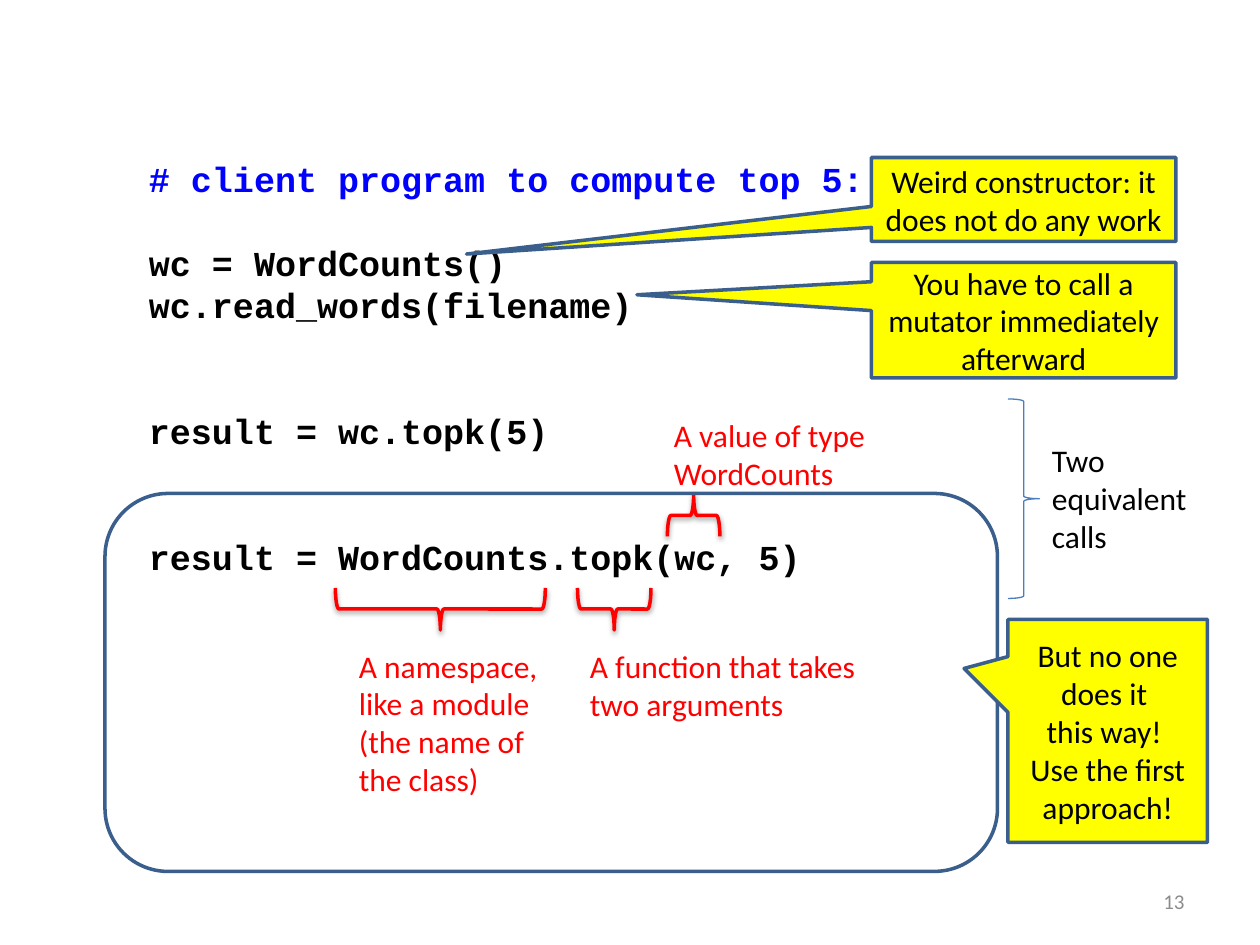
from lxml import etree
from pptx import Presentation
from pptx.dml.color import RGBColor
from pptx.enum.shapes import MSO_SHAPE as SHAPE
from pptx.enum.text import MSO_ANCHOR as ANCHOR, MSO_AUTO_SIZE as AUTO, PP_ALIGN as ALIGN
from pptx.oxml.ns import qn
from pptx.util import Pt

RED, BLUE, NAVY, YELLOW, BLACK = "FF0000", "0000FF", "3A5F8C", "FFFF00", "000000"
LINE = 24  # height of a code line


def rgb(value):
    return RGBColor.from_string(value)


def style(p, size, color, font="Calibri", bold=False, align=ALIGN.LEFT):
    p.alignment = align
    for r in p.runs:
        r.font.size, r.font.name, r.font.bold = Pt(size), font, bold
        r.font.color.rgb = rgb(color)


def add_text(s, box, paragraphs, color, size=18, align=ALIGN.LEFT, anchor=ANCHOR.TOP):
    tf = s.shapes.add_textbox(*map(Pt, box)).text_frame
    tf.word_wrap = True
    tf.vertical_anchor = anchor
    tf.text = "\n".join(paragraphs)
    for p in tf.paragraphs:
        style(p, size, color, align=align)
    return tf


def add_outline(s, kind, box, color, width=2, fill=None):
    sp = s.shapes.add_shape(kind, *map(Pt, box))
    sp.shadow.inherit = False
    sp.line.color.rgb = rgb(color)
    sp.line.width = Pt(width)
    if fill:
        sp.fill.solid()
        sp.fill.fore_color.rgb = rgb(fill)
    else:
        sp.fill.background()
    return sp


def add_shadow(sp):
    effects = sp._element.spPr.find(qn("a:effectLst"))
    shadow = etree.SubElement(effects, qn("a:outerShdw"), blurRad=str(Pt(3.1)),
                              dist=str(Pt(1.6)), dir="5400000", rotWithShape="0")
    color = etree.SubElement(shadow, qn("a:srgbClr"), val=BLACK)
    etree.SubElement(color, qn("a:alpha"), val="38000")


def add_code(s, box):
    # Each entry: blank lines above, text, colour
    lines = [(0, "# client program to compute top 5:", BLUE),
             (1, "wc = WordCounts()", BLACK),
             (0, "wc.read_words(filename)", BLACK),
             (2, "result = wc.topk(5)", BLACK),
             (2, "result = WordCounts.topk(wc, 5)", BLACK)]
    tf = add_text(s, box, [text for _, text, _ in lines], BLACK)
    tf.margin_top = Pt(6.2)
    tf.auto_size = AUTO.SHAPE_TO_FIT_TEXT
    for p, (gap, _, color) in zip(tf.paragraphs, lines):
        p.line_spacing = Pt(LINE)
        p.space_before = Pt(gap * LINE)
        style(p, 20, color, "Courier New", True)


def add_brace_note(s, brace, turn, note, paragraphs):
    # The brace box is as seen; the shape itself is turned about its centre
    x, y, w, h = brace
    upright = (x + (w - h) / 2, y + (h - w) / 2, h, w)
    sp = add_outline(s, SHAPE.RIGHT_BRACE, upright, RED)
    sp.rotation = turn
    add_shadow(sp)
    add_text(s, note, paragraphs, RED)


def add_callout(s, box, tip, text):
    sp = add_outline(s, SHAPE.RECTANGULAR_CALLOUT, box, NAVY, fill=YELLOW)
    for i, offset in enumerate(tip):
        sp.adjustments[i] = offset
    tf = sp.text_frame
    tf.word_wrap = True
    tf.vertical_anchor = ANCHOR.MIDDLE
    p = tf.paragraphs[0]
    p.text = text
    style(p, 18, BLACK, align=ALIGN.CENTER)


def add_equivalence(s, box):
    x, y, w, h = box
    add_outline(s, SHAPE.RIGHT_BRACE, (x, y, 18, h), "4B7EBC", 0.75)
    add_text(s, (x + 18, y + 20.4, w - 18, 72.7), ["Two equivalent calls"], BLACK)


prs = Presentation()
prs.slide_width, prs.slide_height = Pt(720), Pt(540)
s = prs.slides.add_slide(prs.slide_layouts[6])

# Client code
add_code(s, (78, 84, 450, 249.8))

# Parts of the second call
add_brace_note(s, (191.6, 336, 120, 24), 90, (198, 366, 126, 94.5),
               ["A namespace, like a module", "(the name of the class)"])
add_brace_note(s, (330, 336, 42, 24), 90, (330, 366, 168, 51),
               ["A function that takes two arguments"])
add_brace_note(s, (381.4, 282.5, 30, 24), 270, (378, 234, 144, 51),
               ["A value of type WordCounts"])
add_equivalence(s, (576, 228, 114, 114))

# Remarks
add_callout(s, (498, 90, 174, 48), (-1.83, 0.65),
            "Weird constructor: it does not do any work")
add_callout(s, (498, 150, 174, 66), (-1.27, -0.22),
            "You have to call a mutator immediately afterward")

# Slide number
add_text(s, (516, 500.5, 168, 28.8), ["13"], "8C8C8C", 12, ALIGN.RIGHT, ANCHOR.MIDDLE)

# Frame around the second call
add_outline(s, SHAPE.ROUNDED_RECTANGLE, (60, 282, 510, 216), NAVY)
add_callout(s, (576, 354, 114, 127.4), (-0.72, -0.28),
            "But no one does it \vthis way! \vUse the first approach!")

prs.save("out.pptx")
